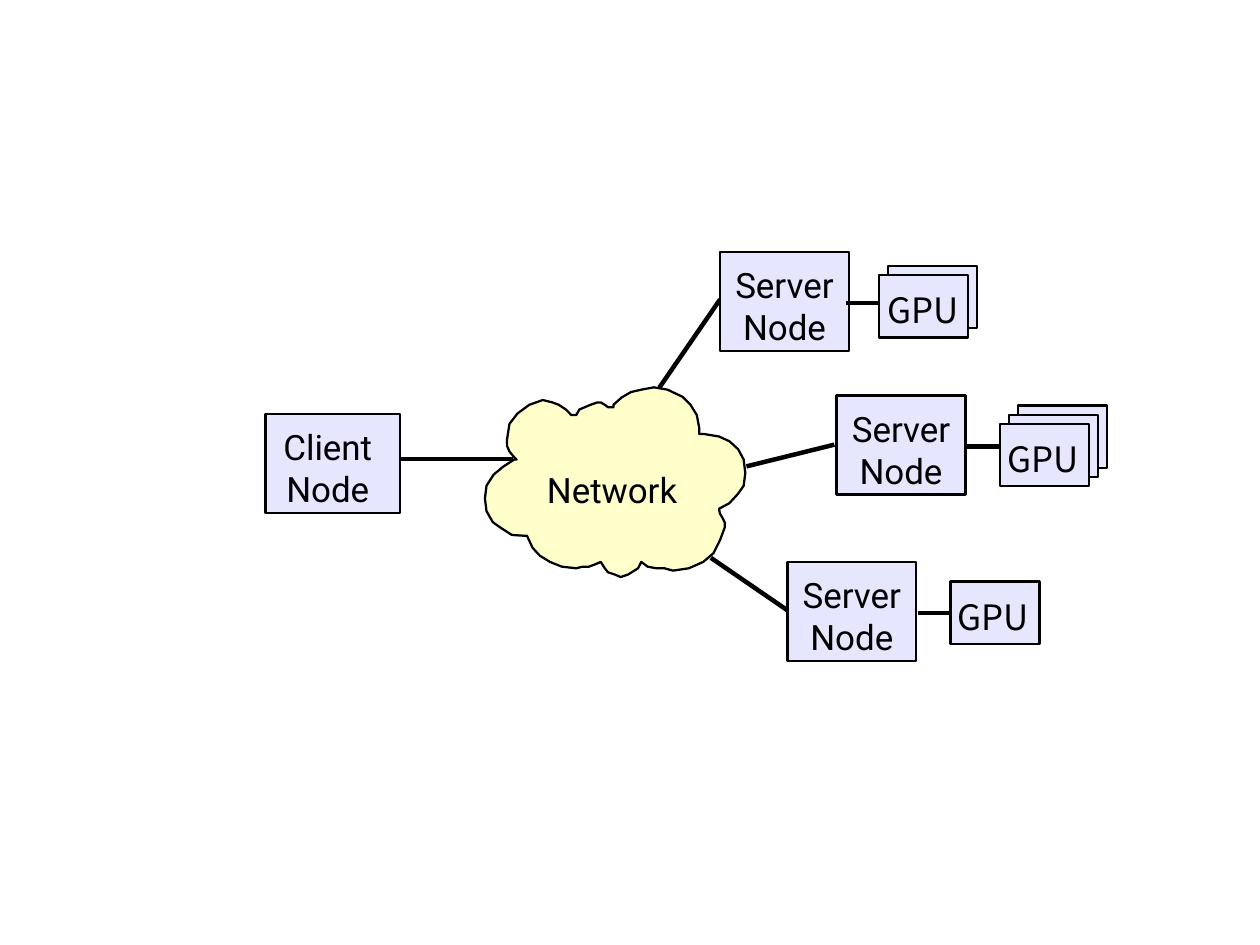
from dataclasses import dataclass

from pptx import Presentation
from pptx.dml.color import RGBColor
from pptx.enum.shapes import MSO_CONNECTOR, MSO_SHAPE
from pptx.enum.text import MSO_ANCHOR, PP_ALIGN
from pptx.oxml.xmlchemy import OxmlElement
from pptx.util import Pt


@dataclass(frozen=True)
class Theme:
    ink: str = "000000"
    node_fill: str = "E6E6FF"
    cloud_fill: str = "FFFFCC"
    outline: float = 1.42
    link: float = 2.83
    size: float = 22
    font: str = "Roboto"
    gpu_font: str = "Noto Sans CJK JP"


SLIDE_WIDTH, SLIDE_HEIGHT = 793.7, 595.28
SERVER_SIZE = (81.2, 62.4)
CLIENT_SIZE = (85, 62.6)
GPU_SIZE = (56, 39.4)
STACK_STEP = 5.8
GPU_LINK_LENGTH = 20.6

# Server corner, front GPU corner, number of GPUs, GPU label shift,
# cloud end and server end of the link
SERVERS = [
    ((453.6, 158.8), (553.6, 173.2), 2, 0, (415.4, 244.1), (453.6, 188.6)),
    ((527, 249.1), (629.8, 267), 3, -0.8, (470.2, 293.8), (525.6, 280.1)),
    ((496, 354.1), (598.8, 366.3), 1, -1.4, (447.8, 351.4), (496.1, 384.5)),
]

CLOUD_OUTLINE = [
    (453, 320.5), (453.5, 323.5), (455, 326), (456.5, 329), (456.5, 332.5),
    (453.5, 340.5), (449.5, 348.5), (443, 354), (434, 358), (424, 359.5),
    (418.5, 358), (413.5, 358), (408, 357), (404, 354), (402, 358),
    (398, 360.5), (395.5, 362), (391, 363.5), (387.5, 362), (383, 360.5),
    (381, 358), (378.5, 354), (375, 355.5), (371, 357), (367, 357),
    (363, 358), (354, 357), (346.5, 354), (340, 350), (335.5, 345),
    (332, 337.5), (330, 337.5), (322.5, 337), (315.5, 332.5), (310.5, 329),
    (306.5, 322), (305.5, 314), (306.5, 306), (311, 299), (317, 294),
    (324, 289.5), (325.5, 289.5), (323.5, 287.5), (321, 284.5), (319.5, 281),
    (319.5, 276.5), (321, 267), (326, 260.5), (333.5, 255), (342, 252),
    (348, 253.5), (352, 255), (356.5, 258), (360, 261.5), (363, 261.5),
    (365, 258), (368.5, 256.5), (372, 255), (376.5, 253.5), (378.5, 253.5),
    (381, 255), (383, 256.5), (386.5, 256.5), (386.5, 255), (391.5, 250.5),
    (397.5, 247), (404, 245.5), (412, 244), (420.5, 245.5), (430, 250),
    (435, 255), (439, 261.5), (440.5, 269.5), (440.5, 273.5), (444, 273.5),
    (453, 275), (459.5, 278), (465, 283), (468.5, 289.5), (469.5, 298),
    (468.5, 306), (465, 311), (459.5, 317),
]


def set_attributes(target, values):
    for name, value in values.items():
        setattr(target, name, value)


class Diagram:
    def __init__(self, slide, theme):
        self.slide = slide
        self.theme = theme

    def paint(self, shape, fill):
        shape.shadow.inherit = False
        shape.fill.solid()
        shape.fill.fore_color.rgb = RGBColor.from_string(fill)
        self.draw_line(shape.line, self.theme.outline)

    def draw_line(self, line, width):
        line.color.rgb = RGBColor.from_string(self.theme.ink)
        line.width = Pt(width)

    def box(self, corner, size):
        shape = self.slide.shapes.add_shape(
            MSO_SHAPE.RECTANGLE, *map(Pt, (*corner, *size)))
        self.paint(shape, self.theme.node_fill)

    def cloud(self, outline):
        start, *rest = [(Pt(x), Pt(y)) for x, y in outline]
        builder = self.slide.shapes.build_freeform(*start)
        builder.add_line_segments(rest, close=True)
        self.paint(builder.convert_to_shape(), self.theme.cloud_fill)

    def link(self, start, end):
        connector = self.slide.shapes.add_connector(
            MSO_CONNECTOR.STRAIGHT, *map(Pt, (*start, *end)))
        self.draw_line(connector.line, self.theme.link)
        connector._element.spPr.append(OxmlElement("a:effectLst"))

    def label(self, lines, center, top, size, font):
        """Place lines of text, one paragraph each, centred on an x position."""
        width, height = size
        text_box = self.slide.shapes.add_textbox(
            *map(Pt, (center - width / 2, top, width, height)))
        frame = text_box.text_frame
        set_attributes(frame, {
            "word_wrap": True, "vertical_anchor": MSO_ANCHOR.TOP,
            "margin_left": Pt(7.2), "margin_right": Pt(7.2),
            "margin_top": Pt(3.6), "margin_bottom": Pt(3.6),
        })
        frame.text = "\n".join(lines)
        for paragraph in frame.paragraphs:
            paragraph.alignment = PP_ALIGN.CENTER
            for run in paragraph.runs:
                set_attributes(run.font, {"name": font, "size": Pt(self.theme.size)})
                run.font.color.rgb = RGBColor.from_string(self.theme.ink)

    def node(self, role, corner, size, shift=0):
        left, top = corner
        self.box(corner, size)
        self.label([role, "Node"], left + size[0] / 2 + shift, top + 4,
                   (100.8, 67), self.theme.font)

    def gpu_stack(self, corner, count, shift):
        """Draw GPUs from back to front, each one step lower and further left."""
        left, top = corner
        for depth in reversed(range(count)):
            offset = depth * STACK_STEP
            self.box((left + offset, top - offset), GPU_SIZE)
        self.label(["GPU"], left + GPU_SIZE[0] / 2 + shift, top + 5.2,
                   (75, 37.4), self.theme.gpu_font)


def main():
    presentation = Presentation()
    presentation.slide_width = Pt(SLIDE_WIDTH)
    presentation.slide_height = Pt(SLIDE_HEIGHT)
    slide = presentation.slides.add_slide(presentation.slide_layouts[6])
    diagram = Diagram(slide, Theme())

    diagram.cloud(CLOUD_OUTLINE)
    diagram.label(["Network"], 385.6, 291.6, (113, 37.4), diagram.theme.font)
    diagram.link((323.3, 289.2), (252, 289.2))
    diagram.node("Client", (167.2, 260.6), CLIENT_SIZE, shift=-3.2)

    for server, gpu, gpu_count, shift, cloud_end, server_end in SERVERS:
        diagram.link(cloud_end, server_end)
        diagram.node("Server", server, SERVER_SIZE)
        link_y = server[1] + 32.2
        diagram.link((gpu[0] - GPU_LINK_LENGTH, link_y), (gpu[0], link_y))
        diagram.gpu_stack(gpu, gpu_count, shift)

    presentation.save("out.pptx")


if __name__ == "__main__":
    main()
